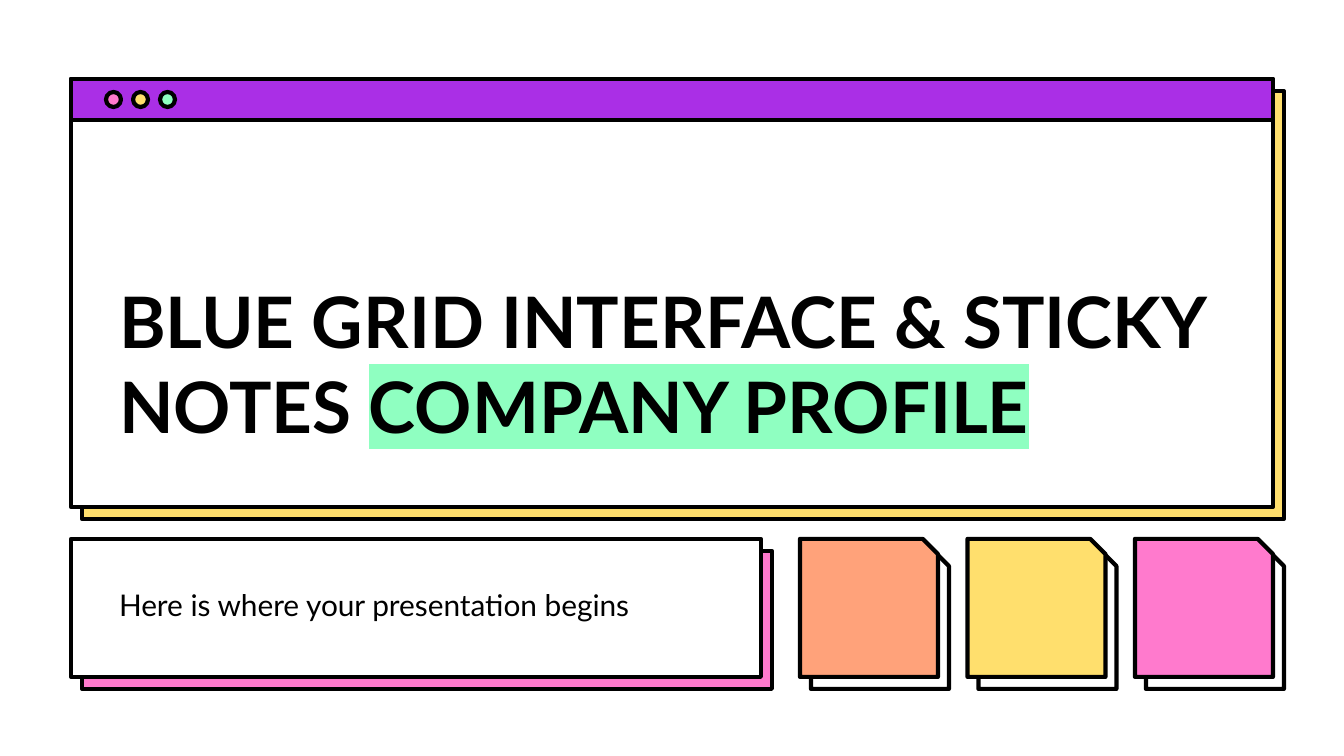
from lxml.etree import SubElement
from pptx import Presentation
from pptx.dml.color import RGBColor
from pptx.enum.shapes import MSO_SHAPE as Preset
from pptx.enum.text import MSO_ANCHOR as Anchor, MSO_AUTO_SIZE as AutoSize, PP_ALIGN as Align
from pptx.oxml import parse_xml
from pptx.oxml.ns import nsdecls, qn
from pptx.util import Pt

WIDTH, HEIGHT = 1344, 756
SCALE = 9144000 / WIDTH
SHADOW_X, SHADOW_Y = 11, 12
INSET = 13
FONT = "Lato"
COLORS = {
    "ink": "000000",
    "paper": "FFFFFF",
    "purple": "AA2FE6",
    "yellow": "FFDF6D",
    "pink": "FF7ACD",
    "mint": "8FFFC1",
    "orange": "FFA27A",
}


def px(length):
    return round(length * SCALE)


def rgb(name):
    return RGBColor.from_string(COLORS[name])


def add_block(slide, box, color, preset=Preset.RECTANGLE, snip=None):
    block = slide.shapes.add_shape(preset, *map(px, box))
    block.shadow.inherit = False
    block.fill.solid()
    block.fill.fore_color.rgb = rgb(color)
    block.line.color.rgb = rgb("ink")
    block.line.width = Pt(2.25)
    SubElement(block.line._get_or_add_ln(), qn("a:round"))
    if snip is not None:
        block.adjustments[0] = snip


def add_raised(slide, box, color, shadow, **form):
    left, top, width, height = box
    add_block(slide, (left + SHADOW_X, top + SHADOW_Y, width, height), shadow, **form)
    add_block(slide, box, color, **form)


def add_run(paragraph, text, size, bold=False, highlight=None):
    run = paragraph.add_run()
    run.text = text
    run.font.size = Pt(size)
    run.font.bold = bold
    run.font.name = FONT
    run.font.color.rgb = rgb("ink")
    if highlight:
        marker = parse_xml(
            f'<a:highlight {nsdecls("a")}><a:srgbClr val="{COLORS[highlight]}"/></a:highlight>'
        )
        run.font._element.find(qn("a:solidFill")).addnext(marker)


def place_placeholder(slide, placeholder, box, anchor):
    slide.shapes.element.append(placeholder.element)
    placeholder.left, placeholder.top, placeholder.width, placeholder.height = map(px, box)
    frame = placeholder.text_frame
    frame.word_wrap = True
    frame.auto_size = AutoSize.NONE
    frame.vertical_anchor = anchor
    frame.margin_left = frame.margin_right = px(INSET)
    frame.margin_top = frame.margin_bottom = px(INSET)
    paragraph = frame.paragraphs[0]
    paragraph.alignment = Align.LEFT
    paragraph.space_before = Pt(0)
    return paragraph


def build_window(slide, left, top, width, height):
    add_raised(slide, (left, top, width, height), "paper", "yellow")
    add_block(slide, (left, top, width, 41), "purple")
    for index, color in enumerate(("pink", "yellow", "mint")):
        add_block(slide, (left + 35 + 27 * index, top + 13, 15, 15), color, Preset.OVAL)
    headline = place_placeholder(
        slide, slide.shapes.title, (left + 35, top + 88, width - 69, height - 134), Anchor.BOTTOM
    )
    add_run(headline, "BLUE GRID INTERFACE & STICKY NOTES ", size=38, bold=True)
    add_run(headline, "COMPANY PROFILE", size=38, bold=True, highlight="mint")


def build_tagline(slide, left, top, width, height):
    add_raised(slide, (left, top, width, height), "paper", "pink")
    tagline = place_placeholder(
        slide, slide.placeholders[1], (left + 35, top + 35, width - 80, 66), Anchor.TOP
    )
    add_run(tagline, "Here is where your presentation begins", size=16)


def build_sticky_notes(slide, left, top, width, height):
    colors = ("orange", "yellow", "pink")
    step = (width - height) / (len(colors) - 1)
    for index, color in enumerate(colors):
        add_raised(
            slide, (left + step * index, top, height, height), color, "paper",
            preset=Preset.SNIP_1_RECTANGLE, snip=0.11,
        )


def main():
    deck = Presentation()
    deck.slide_width, deck.slide_height = px(WIDTH), px(HEIGHT)
    cover = deck.slides.add_slide(deck.slide_layouts[0])
    build_window(cover, 71, 79, 1202, 428)
    build_tagline(cover, 71, 539, 690, 138)
    build_sticky_notes(cover, 800, 539, 473, 138)
    deck.save("out.pptx")


if __name__ == "__main__":
    main()
